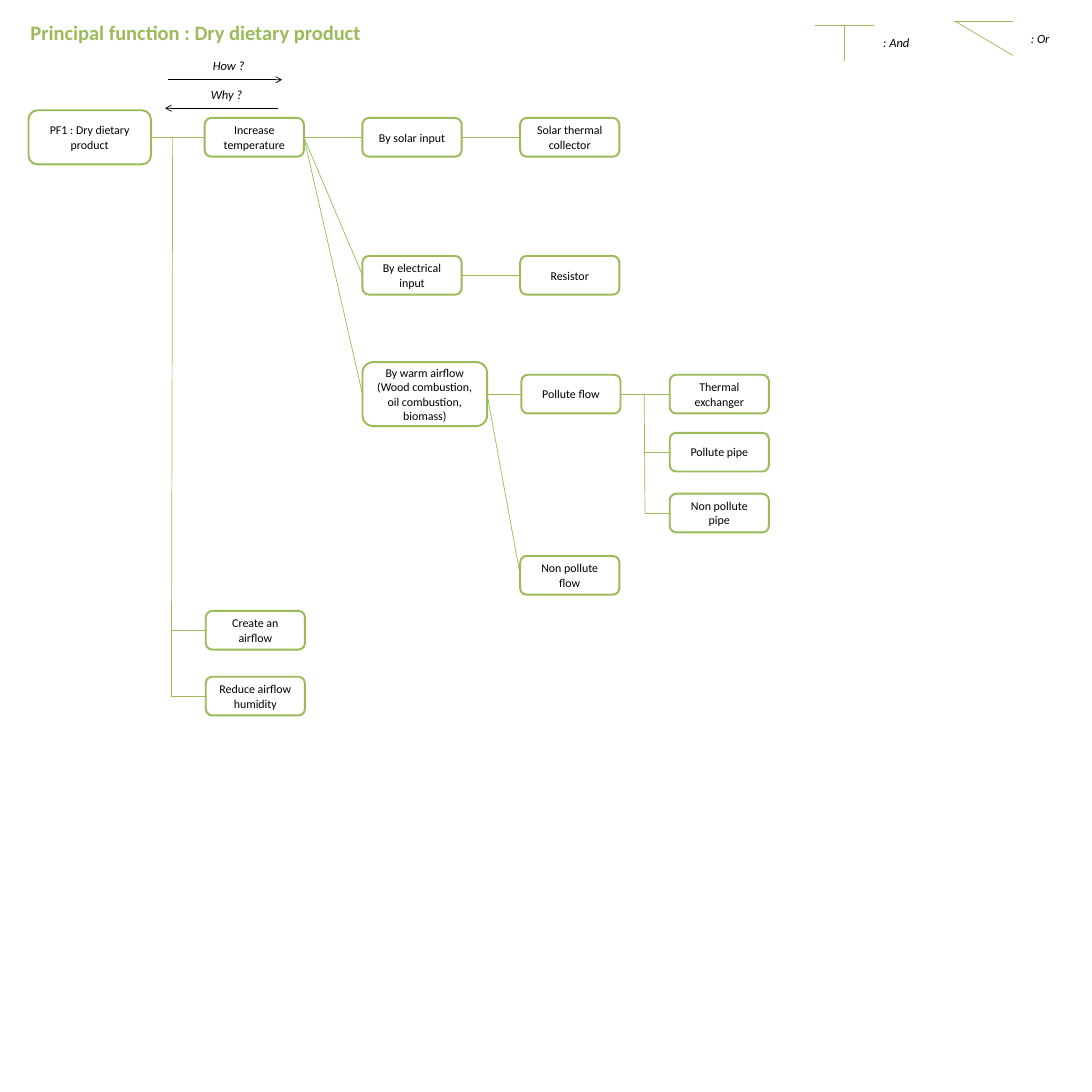
from lxml.etree import SubElement
from pptx import Presentation
from pptx.dml.color import RGBColor
from pptx.enum.shapes import MSO_CONNECTOR, MSO_SHAPE
from pptx.enum.text import MSO_ANCHOR, MSO_AUTO_SIZE, PP_ALIGN
from pptx.oxml.ns import qn
from pptx.util import Pt

COLORS = {"green": "9BBB59", "black": "000000"}
FONT = "Calibri"
SIDE = 1134
LEFT_SITE, RIGHT_SITE = 1, 3


class FunctionTree:
    """Style and current page of a function tree."""

    def __init__(self, page):
        """Keep the page that is drawn on."""
        self.page = page

    def set_text(self, frame, text, size, color="black", bold=False, italic=False,
                 align=PP_ALIGN.LEFT, anchor=MSO_ANCHOR.TOP):
        """Fill a text frame and format its runs."""
        frame.text = text
        frame.word_wrap = True
        frame.auto_size = MSO_AUTO_SIZE.NONE
        frame.vertical_anchor = anchor
        frame.margin_left = frame.margin_right = Pt(8.6)
        frame.margin_top = frame.margin_bottom = Pt(4.3)
        for para in frame.paragraphs:
            para.alignment = align
            for span in para.runs:
                font = span.font
                font.name, font.size = FONT, Pt(size)
                font.bold, font.italic = bold, italic
                font.color.rgb = RGBColor.from_string(COLORS[color])

    def title(self, text, left, top, width, height):
        """Place and format the title placeholder."""
        title = self.page.shapes.title
        title.left, title.top = Pt(left), Pt(top)
        title.width, title.height = Pt(width), Pt(height)
        self.set_text(title.text_frame, text, 21.3, "green", bold=True)

    def label(self, text, left, top, width=72):
        """Add an italic label."""
        box = self.page.shapes.add_textbox(Pt(left), Pt(top), Pt(width), Pt(24.5))
        self.set_text(box.text_frame, text, 13, italic=True)

    def box(self, text, left, middle, width=103, height=40.2):
        """Add a rounded box centred on a row."""
        box = self.page.shapes.add_shape(
            MSO_SHAPE.ROUNDED_RECTANGLE, Pt(left), Pt(middle - height / 2),
            Pt(width), Pt(height))
        box.shadow.inherit = False
        box.fill.background()
        box.line.color.rgb = RGBColor.from_string(COLORS["green"])
        box.line.width = Pt(2)
        self.set_text(box.text_frame, text, 12.4, align=PP_ALIGN.CENTER,
                      anchor=MSO_ANCHOR.MIDDLE)
        return box

    def line(self, start, end, color="green", arrow=False):
        """Add a thin line, with an arrowhead at its end if asked."""
        line = self.page.shapes.add_connector(
            MSO_CONNECTOR.STRAIGHT, *(Pt(value) for value in (*start, *end)))
        line.line.color.rgb = RGBColor.from_string(COLORS[color])
        line.line.width = Pt(0.75)
        properties = line._element.spPr
        if arrow:
            SubElement(properties.find(qn("a:ln")), qn("a:tailEnd"), type="arrow")
        SubElement(properties, qn("a:effectLst"))
        return line

    def link(self, parent, child):
        """Join the right side of one box to the left side of another."""
        line = self.line((0, 0), (0, 0))
        line.begin_connect(parent, RIGHT_SITE)
        line.end_connect(child, LEFT_SITE)


# Column left edges and row centres
FUNCTION, MEANS, SOLUTION, PART = 212.6, 376.4, 540.2, 695.5
TOP_ROW, ELECTRIC_ROW, WARM_ROW = 142.6, 285.9, 409.3
POLLUTE_PIPE_ROW, CLEAN_PIPE_ROW, CLEAN_FLOW_ROW = 469.6, 532.8, 597.5
AIRFLOW_ROW, HUMIDITY_ROW = 654.5, 722.9

BOXES = {
    "root": ("PF1 : Dry dietary product", 29.6, TOP_ROW, 127.2, 56.2),
    "heat": ("Increase temperature", FUNCTION, TOP_ROW),
    "airflow": ("Create an airflow", 213.7, AIRFLOW_ROW),
    "humidity": ("Reduce airflow humidity", 213.7, HUMIDITY_ROW),
    "solar": ("By solar input", MEANS, TOP_ROW),
    "electric": ("By electrical input", MEANS, ELECTRIC_ROW),
    "warm": ("By warm airflow\n(Wood combustion, oil combustion, biomass)",
             MEANS, WARM_ROW, 129.4, 66.4),
    "collector": ("Solar thermal collector", SOLUTION, TOP_ROW),
    "resistor": ("Resistor", SOLUTION, ELECTRIC_ROW),
    "pollute": ("Pollute flow", 541.4, WARM_ROW),
    "clean": ("Non pollute flow", SOLUTION, CLEAN_FLOW_ROW),
    "exchanger": ("Thermal exchanger", PART, WARM_ROW),
    "pollute pipe": ("Pollute pipe", PART, POLLUTE_PIPE_ROW),
    "clean pipe": ("Non pollute pipe", PART, CLEAN_PIPE_ROW),
}
LINKS = [
    ("root", "heat"), ("heat", "solar"), ("heat", "electric"), ("heat", "warm"),
    ("solar", "collector"), ("electric", "resistor"), ("warm", "pollute"),
    ("warm", "clean"), ("pollute", "exchanger"),
]
# Trunk top x, trunk bottom x, first row, branch rows, branch end x
TRUNKS = [
    (179.3, 178, TOP_ROW, (AIRFLOW_ROW, HUMIDITY_ROW), 213.7),
    (669, 669.8, WARM_ROW, (POLLUTE_PIPE_ROW, CLEAN_PIPE_ROW), PART),
]
LABELS = [("How ?", 212.4, 56.2), ("Why ?", 210.3, 86.4),
          (": And", 908.6, 31.7), (": Or", 1062, 27.4)]
ARROWS = [((174.3, 82.8), (293, 82.8)), ((288.7, 112.4), (171.4, 112.4))]
LEGEND_LINES = [
    ((846, 26.6), (907.2, 26.6)), ((877, 26.6), (877, 63.4)),
    ((990.7, 22.3), (1052, 22.3)), ((992.2, 22.3), (1052, 57.6)),
]


def main():
    """Build and save the deck."""
    deck = Presentation()
    deck.slide_width = deck.slide_height = Pt(SIDE)
    tree = FunctionTree(deck.slides.add_slide(deck.slide_layouts[5]))
    tree.title("Principal function : Dry dietary product", 23, 16.6, 374.4, 34.6)
    boxes = {name: tree.box(*details) for name, details in BOXES.items()}
    for parent, child in LINKS:
        tree.link(boxes[parent], boxes[child])
    for top_x, bottom_x, first_row, rows, end_x in TRUNKS:
        tree.line((top_x, first_row), (bottom_x, rows[-1]))
        for row in rows:
            tree.line((bottom_x, row), (end_x, row))
    for details in LABELS:
        tree.label(*details)
    for start, end in ARROWS:
        tree.line(start, end, "black", arrow=True)
    for start, end in LEGEND_LINES:
        tree.line(start, end)
    deck.save("out.pptx")


main()
